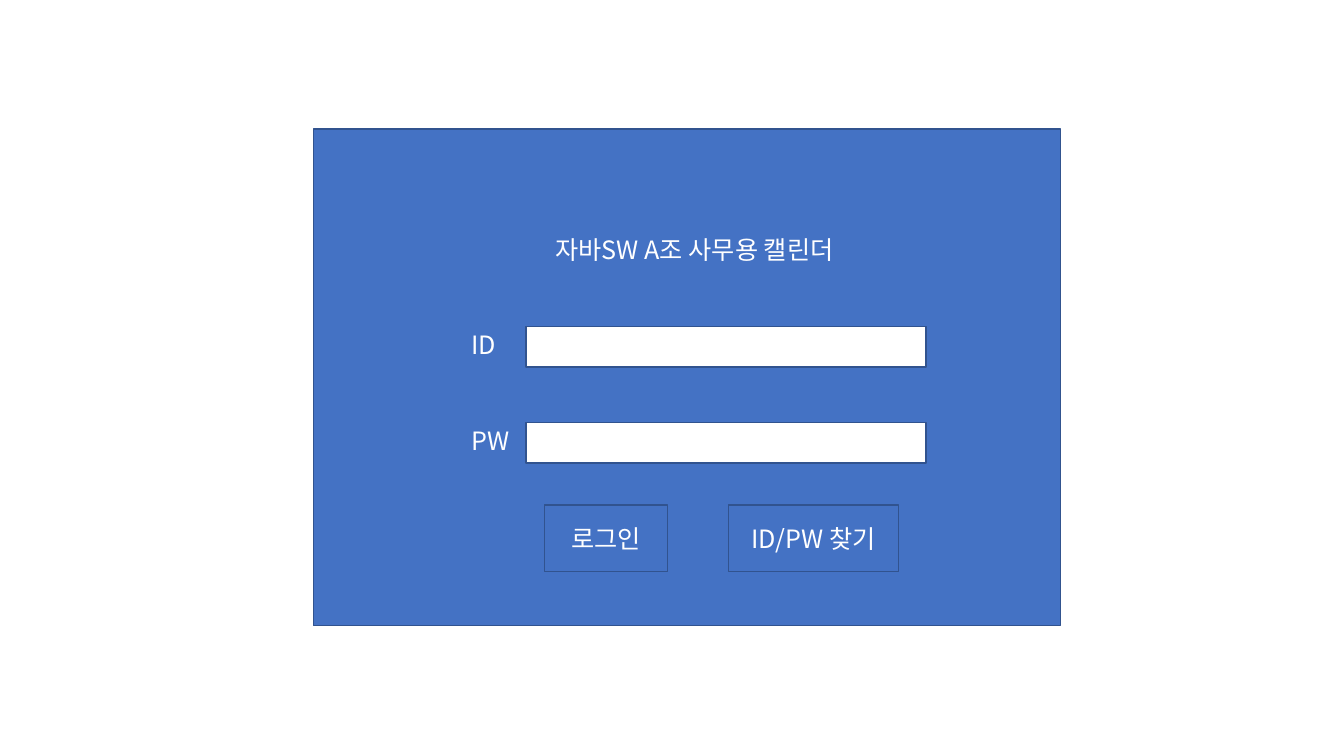
from lxml import etree
from pptx import Presentation
from pptx.dml.color import RGBColor
from pptx.enum.shapes import MSO_SHAPE
from pptx.enum.text import MSO_ANCHOR, MSO_AUTO_SIZE, PP_ALIGN
from pptx.oxml.ns import qn
from pptx.util import Cm, Pt

RECT = MSO_SHAPE.RECTANGLE
TOP, MIDDLE = MSO_ANCHOR.TOP, MSO_ANCHOR.MIDDLE
LEFT, CENTER = PP_ALIGN.LEFT, PP_ALIGN.CENTER
FIXED = MSO_AUTO_SIZE.NONE

BLUE = RGBColor(0x44, 0x72, 0xC4)
NAVY = RGBColor(0x31, 0x53, 0x8F)
WHITE = RGBColor(0xFF, 0xFF, 0xFF)


def apply(target, values):
    for name, value in values.items():
        setattr(target, name, value)


class Form:
    face = "Noto Sans CJK KR"
    font = {"name": face, "size": Pt(18), "bold": False}
    frame = {
        "word_wrap": True,
        "auto_size": FIXED,
        "margin_left": Cm(0.25),
        "margin_right": Cm(0.25),
        "margin_top": Cm(0.13),
        "margin_bottom": Cm(0.13),
    }

    def __init__(self, slide):
        self.slide = slide

    def fill_text(self, shape, text, align, anchor):
        frame = shape.text_frame
        apply(frame, {**self.frame, "vertical_anchor": anchor})
        line = frame.paragraphs[0]
        line.alignment = align
        run = line.add_run()
        run.text = text
        apply(run.font, self.font)
        run.font.color.rgb = WHITE
        east = etree.SubElement(run.font._element, qn("a:ea"))
        east.set("typeface", self.face)

    def title(self, text, left, top, width, height):
        shape = self.slide.shapes.title
        spot = {"left": left, "top": top, "width": width, "height": height}
        apply(shape, {name: Cm(value) for name, value in spot.items()})
        self.fill_text(shape, text, CENTER, TOP)
        tree = self.slide.shapes._spTree
        tree.remove(shape._element)
        tree.append(shape._element)

    def box(self, fill, *place):
        shape = self.slide.shapes.add_shape(RECT, *map(Cm, place))
        shape.shadow.inherit = False
        shape.fill.solid()
        shape.fill.fore_color.rgb = fill
        shape.line.color.rgb = NAVY
        shape.line.width = Pt(1)
        return shape

    def button(self, text, *place):
        self.fill_text(self.box(BLUE, *place), text, CENTER, MIDDLE)

    def label(self, text, *place):
        shape = self.slide.shapes.add_textbox(*map(Cm, place))
        self.fill_text(shape, text, LEFT, TOP)


deck = Presentation()
deck.slide_width, deck.slide_height = Cm(33.87), Cm(19.05)
form = Form(deck.slides.add_slide(deck.slide_layouts[5]))

form.box(BLUE, 7.9, 3.25, 18.82, 12.52)
form.title(" 자바SW A조 사무용 캘린더", 8.97, 5.77, 16.92, 1.02)

for row, name in enumerate(("ID", "PW")):
    top = 8.23 + row * 2.42
    form.box(WHITE, 13.26, top, 10.08, 1.02)
    form.label(name, 11.63, top - 0.05, 1.93, 1.02)

for text, left, width in (("로그인", 13.72, 3.1), ("ID/PW 찾기", 18.36, 4.29)):
    form.button(text, left, 12.73, width, 1.68)

deck.save("out.pptx")
